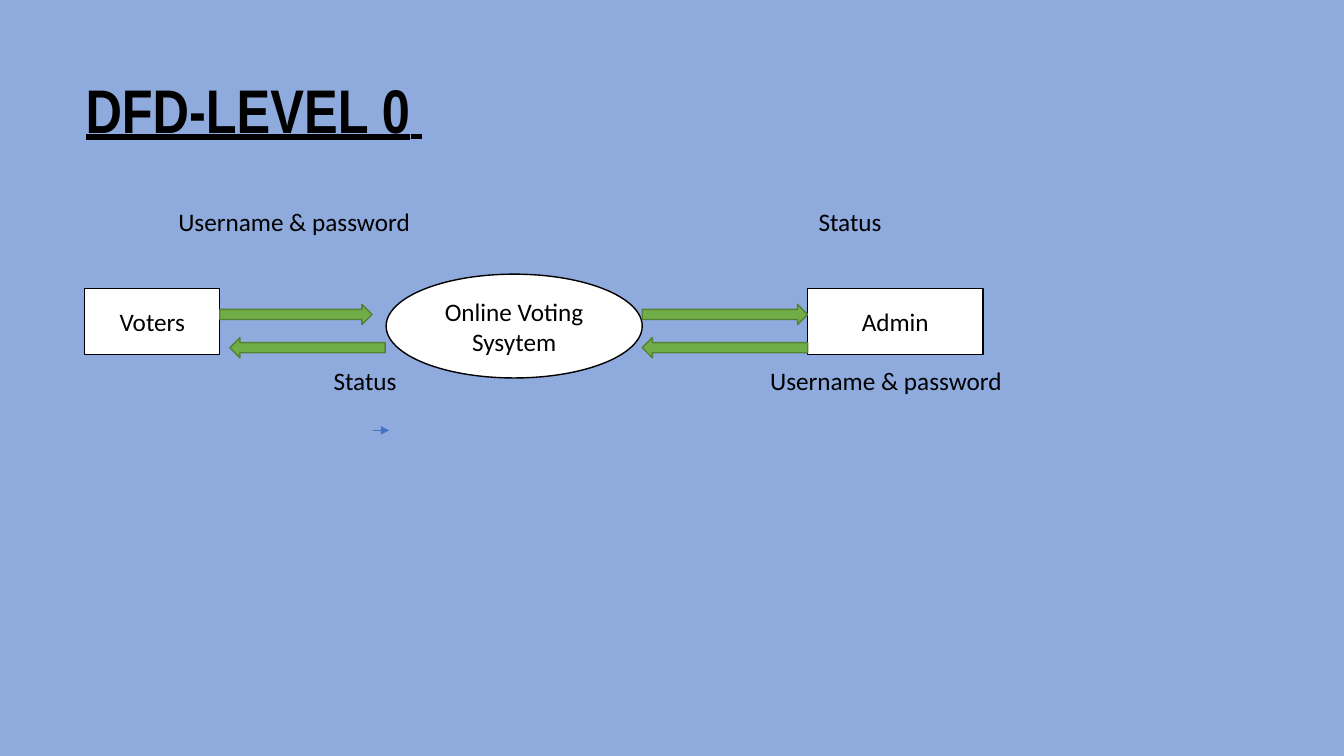
import pptx
import pptx.dml.color
import pptx.enum.shapes
import pptx.enum.text
import pptx.util
from lxml import etree

Inches = pptx.util.Inches
Pt = pptx.util.Pt
SHAPE = pptx.enum.shapes.MSO_SHAPE
ALIGN = pptx.enum.text.PP_ALIGN
ANCHOR = pptx.enum.text.MSO_ANCHOR
BLACK = "000000"
WHITE = "FFFFFF"


def color(hex_string):
    return pptx.dml.color.RGBColor.from_string(hex_string)


def add_run(paragraph, text, size=18, font="Calibri", bold=False, underline=False):
    run = paragraph.add_run()
    run.text = text
    run.font.size = Pt(size)
    run.font.name = font
    run.font.bold = bold
    run.font.underline = underline
    run.font.color.rgb = color(BLACK)


def write_text(shape, text, align=ALIGN.LEFT, anchor=ANCHOR.MIDDLE, **run_format):
    """Put text in a shape and return its paragraph."""
    frame = shape.text_frame
    frame.word_wrap = True
    frame.vertical_anchor = anchor
    paragraph = frame.paragraphs[0]
    paragraph.alignment = align
    add_run(paragraph, text, **run_format)
    return paragraph


def add_textbox(slide, left, top, width, height):
    return slide.shapes.add_textbox(Inches(left), Inches(top), Inches(width), Inches(height))


def add_filled_shape(slide, kind, left, top, width, height, fill, line):
    shape = slide.shapes.add_shape(kind, Inches(left), Inches(top), Inches(width), Inches(height))
    shape.shadow.inherit = False
    shape.fill.solid()
    shape.fill.fore_color.rgb = color(fill)
    shape.line.color.rgb = color(line)
    shape.line.width = Pt(1)
    return shape


def add_small_arrow(slide, left, top, width):
    connector = slide.shapes.add_connector(
        pptx.enum.shapes.MSO_CONNECTOR.STRAIGHT,
        Inches(left), Inches(top), Inches(left + width), Inches(top))
    connector.line.color.rgb = color("4472C4")
    connector.line.width = Pt(0.5)
    namespace = pptx.oxml.ns.qn
    line = connector.line._get_or_add_ln()
    etree.SubElement(line, namespace("a:tailEnd"), type="triangle")
    etree.SubElement(connector._element.spPr, namespace("a:effectLst"))


def add_heading(slide, left, top, width, height):
    heading = add_textbox(slide, left, top, width, height)
    paragraph = write_text(heading, "DFD-LEVEL 0", anchor=ANCHOR.TOP, size=44,
                           font="Arial Narrow", bold=True, underline=True)
    paragraph.line_spacing = 0.9
    add_run(paragraph, " ", size=36, font="Arial Narrow", bold=True, underline=True)


def add_data_flow(slide, left, top):
    """Draw entities, process, flows and flow labels from the given corner."""
    nodes = [
        ("Voters", SHAPE.RECTANGLE, 0, 0.86, 1.34, 0.66),
        ("Online Voting Sysytem", SHAPE.OVAL, 2.99, 0.72, 2.54, 1.03),
        ("Admin", SHAPE.RECTANGLE, 7.17, 0.86, 1.74, 0.66),
    ]
    for text, kind, x, y, width, height in nodes:
        node = add_filled_shape(slide, kind, left + x, top + y, width, height, WHITE, BLACK)
        write_text(node, text, align=ALIGN.CENTER)

    flows = [
        (SHAPE.RIGHT_ARROW, 1.34, 1.02, 1.51),
        (SHAPE.RIGHT_ARROW, 5.53, 1.02, 1.64),
        (SHAPE.LEFT_ARROW, 1.44, 1.35, 1.54),
        (SHAPE.LEFT_ARROW, 5.53, 1.35, 1.64),
    ]
    for kind, x, y, width in flows:
        add_filled_shape(slide, kind, left + x, top + y, width, 0.2, "70AD47", "538035")

    labels = [
        ("Username & password", 0.83, 0, 2.6),
        ("Status", 7.18, 0, 1),
        ("Status", 2.37, 1.57, 1),
        ("Username & password", 6.7, 1.57, 2.6),
    ]
    for text, x, y, width in labels:
        write_text(add_textbox(slide, left + x, top + y, width, 0.4), text)

    add_small_arrow(slide, left + 2.86, top + 2.27, 0.16)


def main():
    presentation = pptx.Presentation()
    presentation.slide_width = Inches(13.33)
    presentation.slide_height = Inches(7.5)
    slide = presentation.slides.add_slide(presentation.slide_layouts[6])
    slide.background.fill.solid()
    slide.background.fill.fore_color.rgb = color("8FAADC")
    add_heading(slide, 0.75, 0.75, 9.33, 1.26)
    add_data_flow(slide, 0.84, 2)
    presentation.save("out.pptx")


if __name__ == "__main__":
    main()
